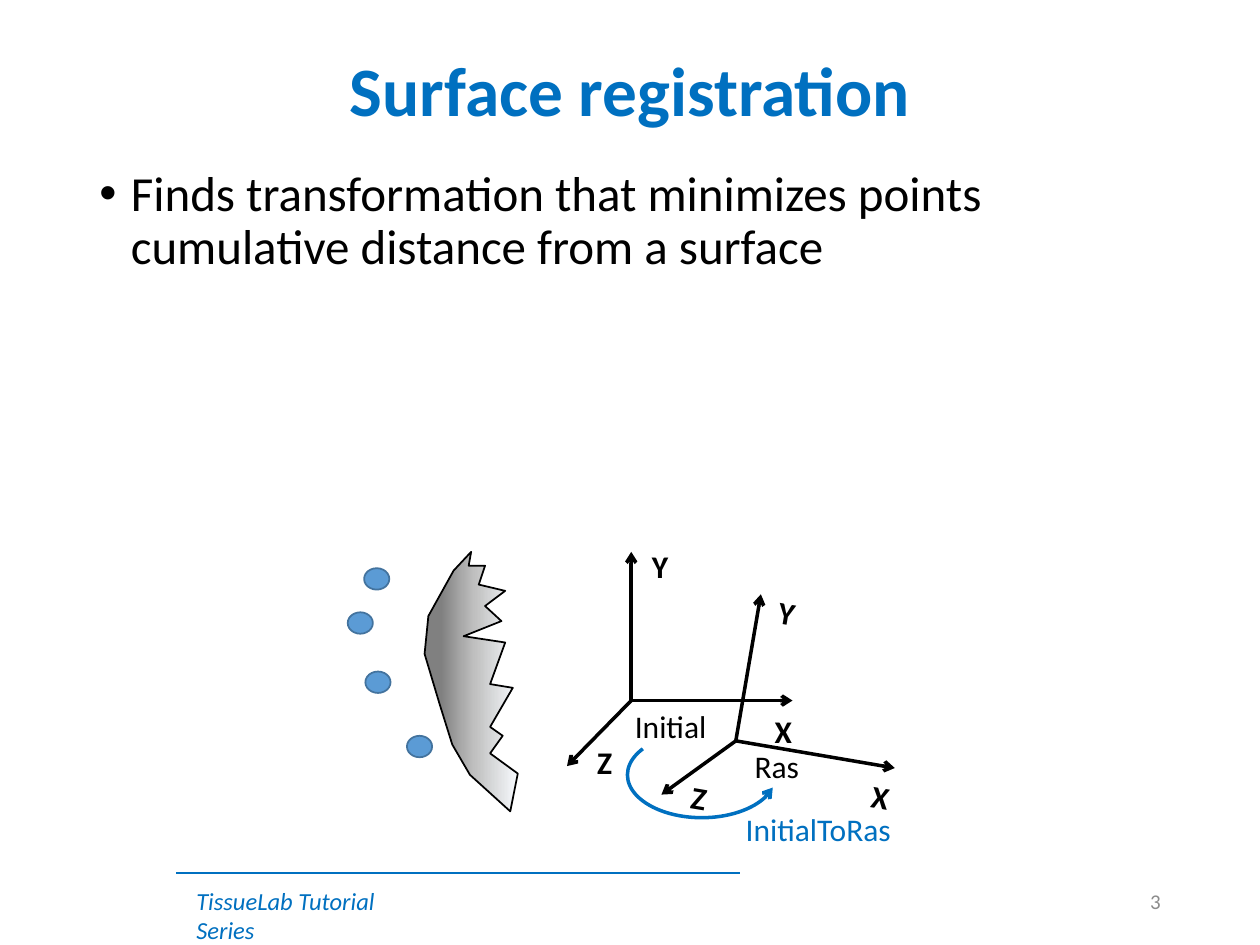
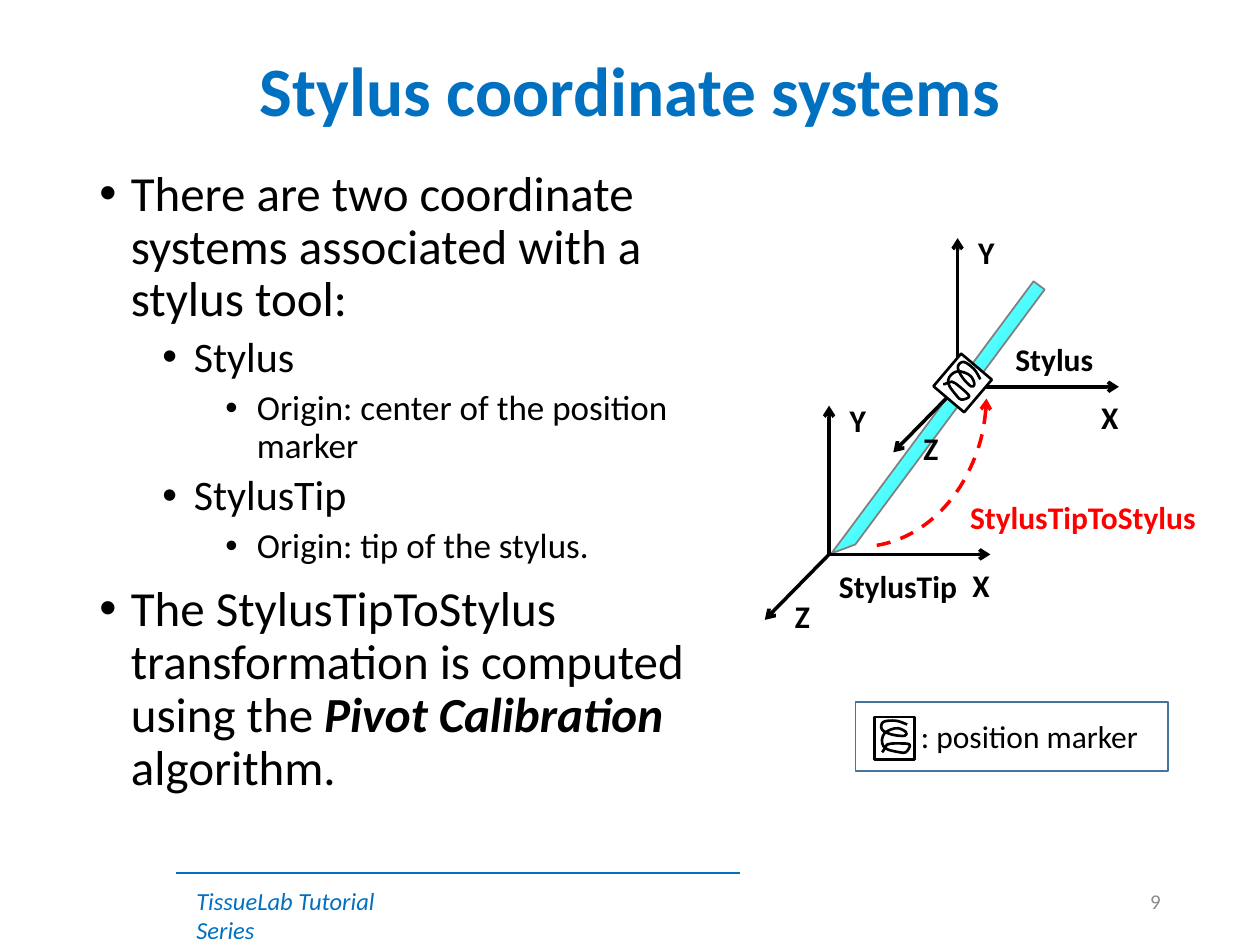
import math
from lxml import etree
from pptx import Presentation
from pptx import util as u
from pptx.dml.color import RGBColor
from pptx.enum import dml, shapes, text
from pptx.oxml import ns

CELL = u.Inches(1)  # the slide is a grid of 10 columns by 7.5 rows
COLUMNS, ROWS = 10, 7.5
MARGIN = 0.69
BLUE = RGBColor(0x00, 0x70, 0xC0)
BLACK = RGBColor(0x00, 0x00, 0x00)
WHITE = RGBColor(0xFF, 0xFF, 0xFF)
RED = RGBColor(0xFF, 0x00, 0x00)
GRAY = RGBColor(0x80, 0x80, 0x80)
PALE_GRAY = RGBColor(0x8C, 0x8C, 0x8C)
POINT_FILL = RGBColor(0x5B, 0x9B, 0xD5)
POINT_EDGE = RGBColor(0x43, 0x73, 0x9E)
FROST = RGBColor(0xF7, 0xFA, 0xFD)
SILVER = RGBColor(0xBF, 0xBF, 0xBF)
CYAN = RGBColor(0x00, 0xFF, 0xFF)
TEAL = RGBColor(0x00, 0xAD, 0xC4)
PALE_CYAN = RGBColor(0xD5, 0xFA, 0xFF)

SURFACE_SHADES = [(0, FROST), (47, SILVER), (83, GRAY), (100, GRAY)]
STYLUS_SHADES = [(0, FROST), (74, CYAN), (83, TEAL), (100, PALE_CYAN)]
BULLET_LEVELS = [(0.25, 28, 10), (0.75, 24, 5), (1.25, 20, 5)]  # indent, size, space before

# Axis name: arrow tip, label centre and label width, from the origin
AXES = {
    "X": ((1.28, 0), (1.21, 0.24), 0.34),
    "Y": ((0, -1.18), (0.23, -1.07), 0.33),
    "Z": ((-0.51, 0.52), (-0.21, 0.49), 0.32),
}
SURFACE = [
    (3.6, 4.53), (3.4, 4.89), (3.37, 5.19), (3.49, 5.59), (3.59, 5.91), (3.73, 6.15),
    (4.05, 6.44), (4.11, 6.14), (3.89, 5.98), (3.99, 5.84), (3.89, 5.77), (4.07, 5.46),
    (3.89, 5.43), (4.01, 5.1), (3.68, 5.05), (3.98, 4.93), (3.85, 4.81), (4.01, 4.69),
    (3.8, 4.64), (3.85, 4.49), (3.72, 4.49), (3.74, 4.38),
]
STYLUS = [(6.1, 3.29), (8.79, 3.29), (8.79, 3.4), (6.27, 3.4)]
# Coil of the position marker, from the marker's centre
COIL = [
    (0.1, -0.11), (0.01, -0.14), (-0.09, -0.13), (-0.1, -0.07), (-0.02, -0.03),
    (0.08, -0.02), (0.09, -0.05), (0.03, -0.08), (-0.03, -0.07), (-0.08, -0.04),
    (-0.1, 0.01), (-0.09, 0.06), (-0.05, 0.09), (0.04, 0.11), (0.09, 0.11),
    (0.12, 0.05), (0.04, 0.04), (0, 0.04), (-0.06, 0.05), (-0.09, 0.1), (-0.1, 0.11),
]


def cells(*lengths):
    return [round(length * CELL) for length in lengths]


def add_node(parent, tag, **attributes):
    values = {name: str(value) for name, value in attributes.items()}
    return etree.SubElement(parent, ns.qn(tag), values)


def turn(point, degrees):
    x, y = point
    cos, sin = math.cos(math.radians(degrees)), math.sin(math.radians(degrees))
    return x * cos - y * sin, x * sin + y * cos


def smooth(outline):
    """Bend the segments of an open outline into one Catmull-Rom curve."""
    geometry = outline._element.spPr.find(ns.qn("a:custGeom"))
    spots = [(int(spot.get("x")), int(spot.get("y")))
             for spot in geometry.iter(ns.qn("a:pt"))]
    padded = [spots[0], *spots, spots[-1]]
    segments = list(geometry.iter(ns.qn("a:lnTo")))
    for segment, a, b, c, d in zip(segments, padded, padded[1:], padded[2:], padded[3:]):
        leave = [q + (r - p) / 6 for p, q, r in zip(a, b, c)]
        arrive = [q - (r - p) / 6 for p, q, r in zip(b, c, d)]
        curve = etree.Element(ns.qn("a:cubicBezTo"))
        for x, y in (leave, arrive, c):
            add_node(curve, "a:pt", x=round(x), y=round(y))
        segment.getparent().replace(segment, curve)


def style_line(item, color, width, arrow=None, dash=None):
    """Format an outline; arrow is a:headEnd or a:tailEnd."""
    item.line.color.rgb = color
    item.line.width = u.Pt(width)
    if dash:
        item.line.dash_style = dash
    if arrow:
        add_node(item.line._get_or_add_ln(), arrow, type="arrow")


def style_shape(shape, fill, color, width, **line):
    shape.shadow.inherit = False
    if fill is None:
        shape.fill.background()
    else:
        shape.fill.solid()
        shape.fill.fore_color.rgb = fill
    style_line(shape, color, width, **line)


def shade(shape, stops, degrees):
    shape.fill.gradient()
    gradient = shape._element.spPr.find(ns.qn("a:gradFill"))
    for child in list(gradient):
        gradient.remove(child)
    stop_list = add_node(gradient, "a:gsLst")
    for percent, color in stops:
        stop = add_node(stop_list, "a:gs", pos=percent * 1000)
        add_node(stop, "a:srgbClr", val=color)
    add_node(gradient, "a:lin", ang=degrees * 60000, scaled=0)


def add_line(page, start, end, color, width, arrow=None):
    line = page.shapes.add_connector(
        shapes.MSO_CONNECTOR.STRAIGHT, *cells(*start, *end))
    style_line(line, color, width, arrow)
    add_node(line._element.spPr, "a:effectLst")


def add_preset(page, kind, area, fill, color, width, **line):
    shape = page.shapes.add_shape(kind, *cells(*area))
    style_shape(shape, fill, color, width, **line)
    return shape


def add_arc(page, area, angles, color, dash=None):
    arc = add_preset(page, shapes.MSO_SHAPE.ARC, area, None, color, 2,
                     arrow="a:headEnd", dash=dash)
    for index, degrees in enumerate(angles):
        arc.adjustments[index] = degrees * 0.6


def add_outline(page, points, color, width, close=True):
    corners = [cells(*point) for point in points]
    builder = page.shapes.build_freeform(*corners[0])
    builder.add_line_segments(corners[1:], close=close)
    outline = builder.convert_to_shape()
    style_shape(outline, None, color, width)
    return outline


def add_span(para, words, size, color=BLACK, **formats):
    span = para.add_run()
    span.text = words
    span.font.color.rgb = color
    for name, value in {"name": "Calibri", "size": u.Pt(size), **formats}.items():
        setattr(span.font, name, value)


def add_box(page, area, wrap=True, anchor=text.MSO_ANCHOR.TOP):
    box = page.shapes.add_textbox(*cells(*area))
    box.text_frame.word_wrap = wrap
    box.text_frame.vertical_anchor = anchor
    return box


def add_label(page, words, area, size=18, color=BLACK, rotation=0, **formats):
    """Add a single line of text whose box grows with it."""
    box = add_box(page, area, wrap=False)
    box.text_frame.auto_size = text.MSO_AUTO_SIZE.SHAPE_TO_FIT_TEXT
    box.rotation = rotation
    add_span(box.text_frame.paragraphs[0], words, size, color, **formats)


def add_heading(page, words, area, align, size, color, spacing=1.0, **formats):
    """Add one vertically centred line of text."""
    para = add_box(page, area, anchor=text.MSO_ANCHOR.MIDDLE).text_frame.paragraphs[0]
    para.alignment = align
    para.line_spacing = spacing
    add_span(para, words, size, color, **formats)


def add_bullets(page, area, items):
    """Add bullets, each a level and its spans of words and formats."""
    frame = add_box(page, area).text_frame
    for index, (level, *spans) in enumerate(items):
        para = frame.add_paragraph() if index else frame.paragraphs[0]
        indent, size, before = BULLET_LEVELS[level]
        para.level = level
        para.line_spacing = 0.9
        para.space_before = u.Pt(before)
        props = para._p.get_or_add_pPr()
        props.set("marL", str(cells(indent)[0]))
        props.set("indent", str(cells(-0.25)[0]))
        add_node(props, "a:buFont", typeface="Arial")
        add_node(props, "a:buChar", char="•")
        for words, formats in spans:
            add_span(para, words, size, **formats)


def add_axes(page, origin, tilt=0):
    def place(offset):
        return [a + b for a, b in zip(origin, turn(offset, tilt))]

    for name, (tip, middle, width) in AXES.items():
        add_line(page, origin, place(tip), BLACK, 2, "a:tailEnd")
        x, y = place(middle)
        add_label(page, name, (x - width / 2, y - 0.2, width, 0.4),
                  rotation=tilt, bold=True)


def add_marker(page, center, rotation=0):
    x, y = center
    plate = add_preset(page, shapes.MSO_SHAPE.RECTANGLE,
                       (x - 0.16, y - 0.17, 0.32, 0.34), WHITE, BLACK, 1.5)
    coil = add_outline(page, [(x + a, y + b) for a, b in COIL],
                       BLACK, 1.5, close=False)
    smooth(coil)
    plate.rotation = coil.rotation = rotation


def add_page(deck, title, number):
    page = deck.slides.add_slide(deck.slide_layouts[6])
    add_line(page, (1.4, 6.93), (5.87, 6.93), BLUE, 1.25)
    add_label(page, "TissueLab Tutorial Series", (1.46, 6.98, 2.06, 0.34),
              14, BLUE, italic=True)
    add_heading(page, title, (MARGIN, 0.4, COLUMNS - 2 * MARGIN, 0.69),
                text.PP_ALIGN.CENTER, 39.6, BLUE, 0.9, bold=True)
    add_heading(page, str(number), (7.06, 6.95, 2.25, 0.4),
                text.PP_ALIGN.RIGHT, 12, PALE_GRAY)
    return page


def build_registration(deck):
    page = add_page(deck, "Surface registration", 3)
    add_bullets(page, (MARGIN, 1.29, COLUMNS - 2 * MARGIN, 3.07), [
        (0, ("Finds transformation that minimizes points cumulative distance "
             "from a surface", {}))])
    add_axes(page, (5.01, 5.56))
    add_axes(page, (5.84, 5.88), tilt=9.7)
    for left, top in [(2.89, 4.51), (2.76, 4.86), (2.9, 5.33), (3.23, 5.84)]:
        add_preset(page, shapes.MSO_SHAPE.OVAL, (left, top, 0.2, 0.17),
                   POINT_FILL, POINT_EDGE, 1)
    add_arc(page, (4.98, 5.81, 1.18, 0.68), (10.13, 203.85), BLUE)
    add_label(page, "Initial", (4.94, 5.56, 0.78, 0.4))
    add_label(page, "Ras", (5.89, 5.88, 0.56, 0.4))
    add_label(page, "InitialToRas", (5.82, 6.38, 1.37, 0.4), color=BLUE)
    shade(add_outline(page, SURFACE, BLACK, 1), SURFACE_SHADES, 180)


def build_stylus(deck):
    page = add_page(deck, "Stylus coordinate systems", 9)
    stylus = add_outline(page, STYLUS, GRAY, 1)
    shade(stylus, STYLUS_SHADES, 90)
    stylus.rotation = 306.6
    add_axes(page, (7.6, 3.07))
    add_label(page, "Stylus", (7.96, 2.65, 0.82, 0.4), bold=True)
    add_axes(page, (6.58, 4.4))
    add_label(page, "StylusTip", (6.56, 4.45, 1.15, 0.4), bold=True)
    add_marker(page, (7.64, 3.04), rotation=40.3)
    add_arc(page, (5.81, 1.89, 2.02, 2.45), (2.73, 83.55), RED, dml.MSO_LINE.DASH)
    add_marker(page, (7.1, 5.86))
    add_preset(page, shapes.MSO_SHAPE.RECTANGLE, (6.79, 5.57, 2.48, 0.55),
               None, POINT_EDGE, 1)
    add_label(page, ": position marker", (7.21, 5.64, 1.95, 0.4))
    add_label(page, "StylusTipToStylus", (7.6, 3.9, 2.01, 0.4), color=RED, bold=True)
    add_bullets(page, (MARGIN, 1.29, 5.12, 5.46), [
        (0, ("There are two coordinate systems associated with a stylus tool:", {})),
        (1, ("Stylus", {})),
        (2, ("Origin: center of the position marker", {})),
        (1, ("StylusTip", {})),
        (2, ("Origin: tip of the stylus.", {})),
        (0, ("The StylusTipToStylus transformation is computed using the ", {}),
            ("Pivot Calibration ", {"bold": True, "italic": True}),
            ("algorithm.", {})),
    ])


def main():
    deck = Presentation()
    deck.slide_width, deck.slide_height = cells(COLUMNS, ROWS)
    build_registration(deck)
    build_stylus(deck)
    deck.save("out.pptx")


if __name__ == "__main__":
    main()
